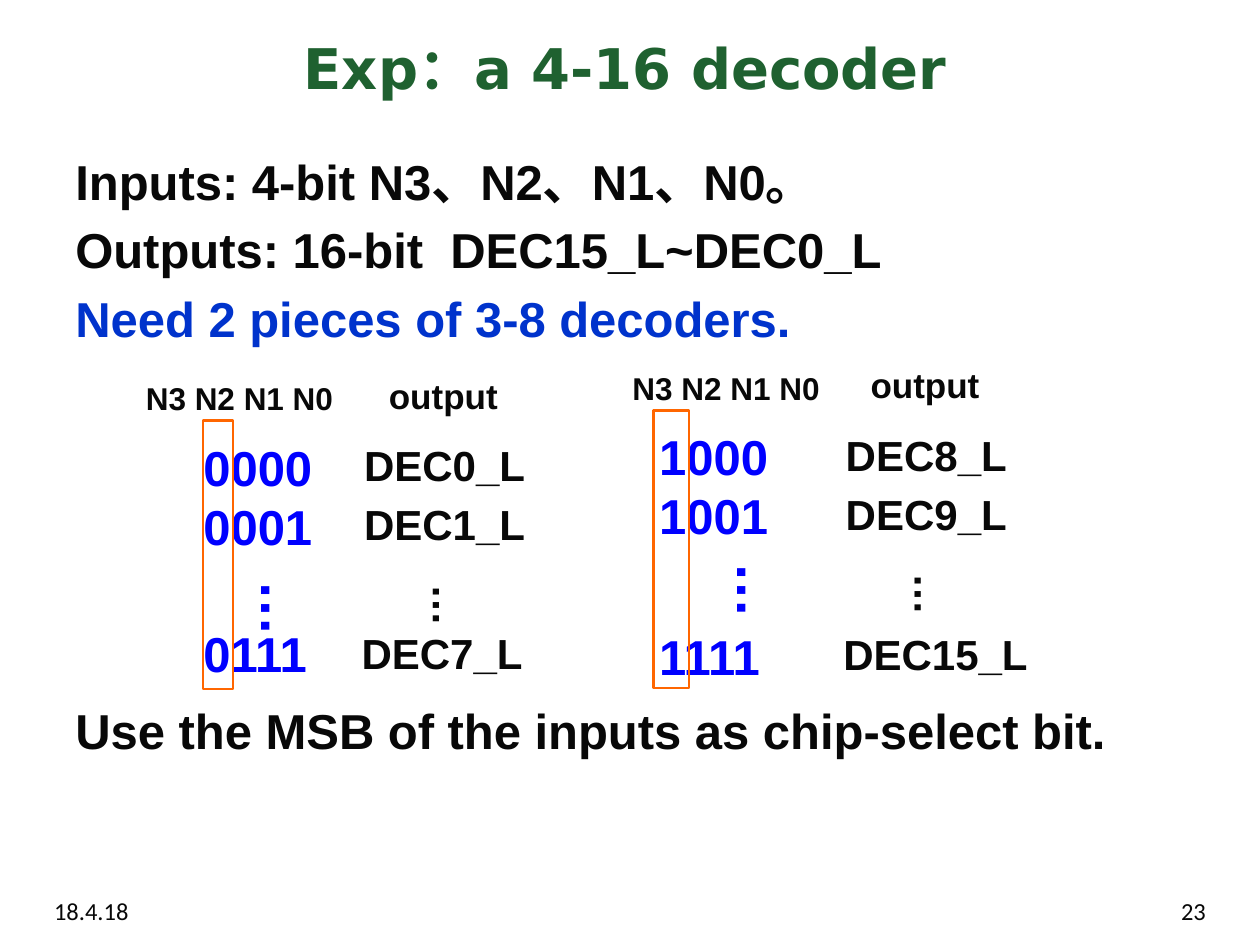
import pptx
import pptx.dml.color
import pptx.enum.shapes
import pptx.enum.text
import pptx.util

Cm = pptx.util.Cm
Pt = pptx.util.Pt
ALIGN = pptx.enum.text.PP_ALIGN
ANCHOR = pptx.enum.text.MSO_ANCHOR

INK = "080808"
GREEN = "1F6130"
NAVY = "0033CC"
BLUE = "0000FF"
ORANGE = "FF6600"


def color(value):
    return pptx.dml.color.RGBColor.from_string(value)


def add_text(slide, place, lines, size, ink=INK, font="Arial", bold=True,
             align=ALIGN.LEFT, gap=0):
    box = slide.shapes.add_textbox(*[Cm(value) for value in place])
    frame = box.text_frame
    frame.word_wrap = True
    for index, line in enumerate(lines):
        para = frame.paragraphs[0] if index == 0 else frame.add_paragraph()
        para.alignment = align
        if index:
            para.space_before = Pt(gap)
        span = para.add_run()
        span.text = line
        span.font.name = font
        span.font.size = Pt(size)
        span.font.bold = bold
        span.font.color.rgb = color(ink)
    return box


def add_codes(slide, place, codes):
    box = add_text(slide, place, codes, 28, BLUE)
    for para in box.text_frame.paragraphs:
        para._p.get_or_add_pPr().set("marL", str(Cm(0.95)))


def add_dots(slide, place, size, ink):
    box = add_text(slide, place, ["…"], size, ink)
    box.text_frame._txBody.bodyPr.set("vert", "eaVert")


def add_frame(slide, place):
    frame = slide.shapes.add_shape(pptx.enum.shapes.MSO_SHAPE.RECTANGLE,
                                   *[Cm(value) for value in place])
    frame.shadow.inherit = False
    frame.fill.background()
    frame.line.color.rgb = color(ORANGE)
    frame.line.width = Pt(1.5)


def add_input_column(slide, left, top, last_top, codes, header, dots, frame):
    add_codes(slide, (left, top, 4.1, 2.64), codes[:2])
    add_codes(slide, (left, last_top, 4.1, 1.45), codes[2:])
    add_dots(slide, (*dots, 1.85, 2.2), 32, BLUE)
    add_frame(slide, frame)
    add_text(slide, (*header, 4.39, 1.02), ["N3 N2 N1 N0"], 18)


def add_output_column(slide, left, top, last_top, names):
    add_text(slide, (left, top, 3.4, 1.09), ["output"], 20)
    add_text(slide, (left - 0.5, top + 1.32, 4.19, 2.49), names[:2], 24, gap=4.8)
    add_text(slide, (left - 0.55, last_top, 4.6, 1.27), names[2:], 24)
    add_dots(slide, (left + 0.59, top + 4.11, 1.52, 1.19), 24, INK)


def main():
    deck = pptx.Presentation()
    deck.slide_width = Cm(25.4)
    deck.slide_height = Cm(19.05)
    page = deck.slides.add_slide(deck.slide_layouts[6])

    add_text(page, (0.84, 17.93, 6.35, 0.74), ["18.4.18"], 14,
             font="Calibri", bold=False)
    add_text(page, (18.21, 17.93, 6.35, 0.74), ["23"], 14,
             font="Calibri", bold=False, align=ALIGN.RIGHT)
    title = add_text(page, (1.09, 0.74, 23.04, 1.22), ["Exp：a 4-16 decoder"],
                     32, GREEN, "DejaVu Sans", align=ALIGN.CENTER)
    title.text_frame.vertical_anchor = ANCHOR.MIDDLE

    body = add_text(page, (1.27, 2.92, 22.86, 4.2), [
        "Inputs: 4-bit N3、N2、N1、N0。",
        "Outputs: 16-bit  DEC15_L~DEC0_L",
        "Need 2 pieces of 3-8 decoders.",
    ], 28, gap=5.6)
    body.text_frame.paragraphs[2].runs[0].font.color.rgb = color(NAVY)
    add_text(page, (1.27, 14, 22.86, 1.4),
             ["Use the MSB of the inputs as chip-select bit."], 28)

    add_input_column(page, 2.9, 8.69, 12.45, ["0000", "0001", "0111"],
                     header=(2.69, 7.52), dots=(4.67, 11.46),
                     frame=(4.09, 8.48, 0.61, 5.41))
    add_input_column(page, 12.09, 8.48, 12.5, ["1000", "1001", "1111"],
                     header=(12.5, 7.32), dots=(14.27, 11.1),
                     frame=(13.18, 8.28, 0.71, 5.59))
    add_output_column(page, 7.59, 7.42, 12.52, ["DEC0_L", "DEC1_L", "DEC7_L"])
    add_output_column(page, 17.3, 7.21, 12.55, ["DEC8_L", "DEC9_L", "DEC15_L"])

    deck.save("out.pptx")


if __name__ == "__main__":
    main()
